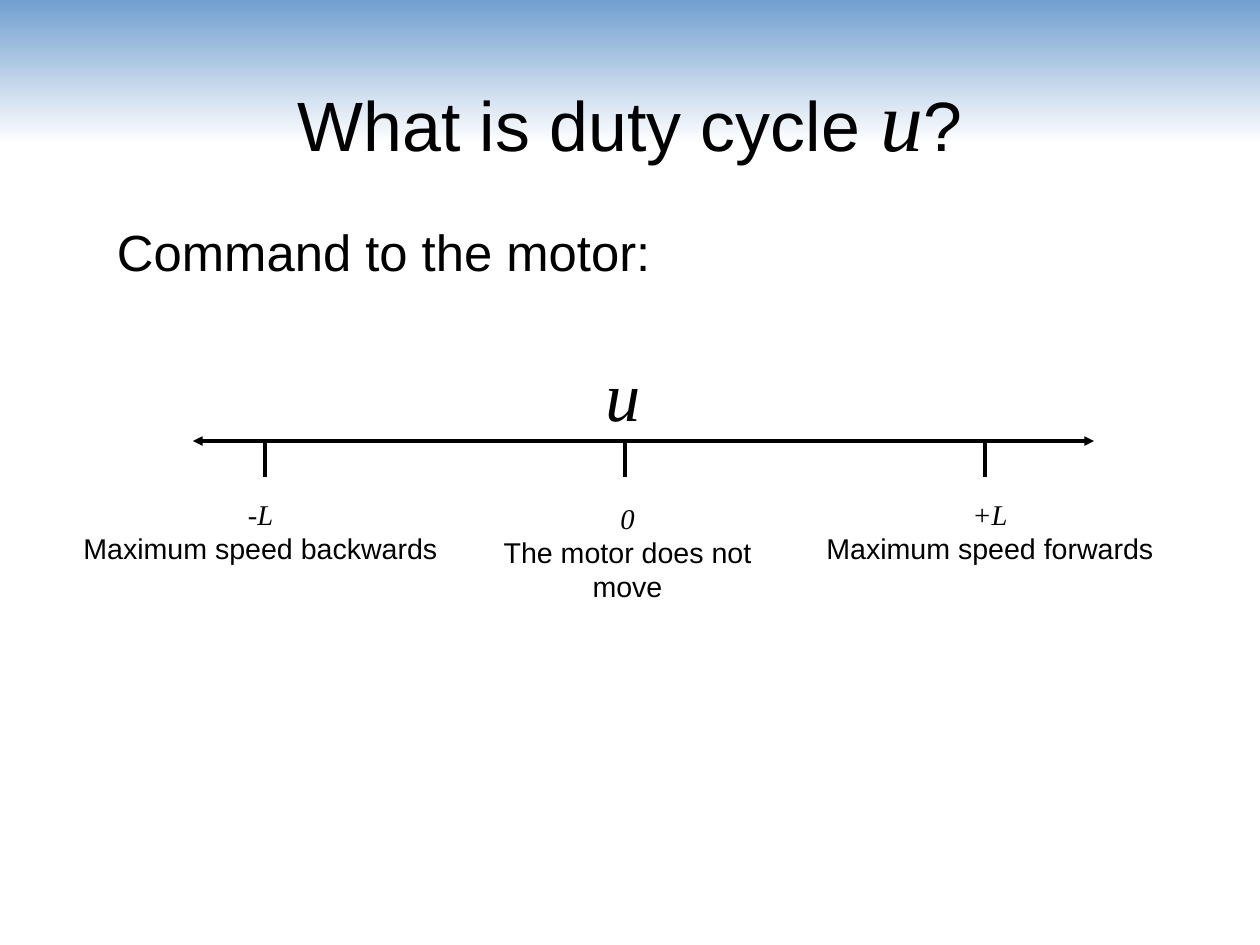
from lxml.etree import SubElement
from pptx import Presentation
from pptx.dml.color import RGBColor
from pptx.enum.shapes import MSO_CONNECTOR, MSO_SHAPE
from pptx.enum.text import MSO_ANCHOR, PP_ALIGN
from pptx.oxml.ns import qn
from pptx.util import Pt

EMU_PER_PX = 8000
SLIDE_WIDTH, SLIDE_HEIGHT = 1260, 945
SANS, SERIF = "Arial", "Times New Roman"
BLACK, WHITE, SKY_BLUE = "000000", "FFFFFF", "729FCF"
AXIS_Y, TICK_BOTTOM = 441, 477


def px(length):
    return length * EMU_PER_PX


def color(hex_value):
    return RGBColor.from_string(hex_value)


def set_font(font, name, size, italic=False):
    font.name = name
    font.size = Pt(size)
    font.italic = italic
    font.color.rgb = color(BLACK)


def add_banner(slide, height):
    shape = slide.shapes.add_shape(MSO_SHAPE.RECTANGLE, 0, 0, px(SLIDE_WIDTH), px(height))
    shape.shadow.inherit = False
    shape.line.fill.background()
    shape.fill.gradient()
    shape.fill.gradient_angle = 270
    for stop, hex_value in zip(shape.fill.gradient_stops, (SKY_BLUE, WHITE)):
        stop.color.rgb = color(hex_value)


def add_text_frame(slide, left, top, width, height, wrap=True, inset=True):
    box = slide.shapes.add_textbox(px(left), px(top), px(width), px(height))
    frame = box.text_frame
    frame.word_wrap = wrap
    if not inset:
        frame.margin_left = frame.margin_right = frame.margin_top = frame.margin_bottom = 0
    return frame


def add_title(slide):
    frame = add_text_frame(slide, 63, 38, 1134, 158, inset=False)
    frame.vertical_anchor = MSO_ANCHOR.MIDDLE
    paragraph = frame.paragraphs[0]
    paragraph.alignment = PP_ALIGN.CENTER
    for text, name, size, italic in (
        ("What is duty cycle ", SANS, 44, False),
        ("u", SERIF, 54, True),
        ("?", SANS, 44, False),
    ):
        run = paragraph.add_run()
        run.text = text
        set_font(run.font, name, size, italic)


def add_body(slide, text):
    frame = add_text_frame(slide, 63, 221, 1134, 547, inset=False)
    frame.margin_left = px(54)
    paragraph = frame.paragraphs[0]
    paragraph.text = text
    paragraph.space_before = Pt(14.2)
    set_font(paragraph.font, SANS, 32)


def add_line(slide, start_x, start_y, end_x, end_y, arrows=False):
    line = slide.shapes.add_connector(
        MSO_CONNECTOR.STRAIGHT, px(start_x), px(start_y), px(end_x), px(end_y)
    )
    line.line.color.rgb = color(BLACK)
    line.line.width = 0
    if arrows:
        for end in ("a:headEnd", "a:tailEnd"):
            SubElement(line.line._get_or_add_ln(), qn(end), type="triangle")
    SubElement(line._element.spPr, qn("a:effectLst"))


def add_tick_label(slide, left, top, width, height, value, meaning, wrap):
    frame = add_text_frame(slide, left, top, width, height, wrap)
    frame.text = f"{value}\n{meaning}"
    value_paragraph, meaning_paragraph = frame.paragraphs
    set_font(value_paragraph.font, SERIF, 18, italic=True)
    set_font(meaning_paragraph.font, SANS, 18)
    for paragraph in frame.paragraphs:
        paragraph.alignment = PP_ALIGN.CENTER


def add_variable(slide, name):
    paragraph = add_text_frame(slide, 594, 346, 57, 97).paragraphs[0]
    paragraph.text = name
    set_font(paragraph.font, SERIF, 44, italic=True)


def main():
    presentation = Presentation()
    presentation.slide_width = px(SLIDE_WIDTH)
    presentation.slide_height = px(SLIDE_HEIGHT)
    slide = presentation.slides.add_slide(presentation.slide_layouts[6])

    add_banner(slide, 144)
    add_title(slide)
    add_body(slide, "Command to the motor:")
    add_line(slide, 193, AXIS_Y, 1094, AXIS_Y, arrows=True)
    for tick in range(3):
        tick_x = 265 + 360 * tick
        add_line(slide, tick_x, AXIS_Y, tick_x, TICK_BOTTOM)
    add_tick_label(slide, 72, 491, 377, 75, "-L", "Maximum speed backwards", wrap=False)
    add_tick_label(slide, 490, 495, 275, 235, "0", "The motor does not move", wrap=True)
    add_tick_label(slide, 815, 491, 350, 75, "+L", "Maximum speed forwards", wrap=False)
    add_variable(slide, "u")
    presentation.save("out.pptx")


if __name__ == "__main__":
    main()
